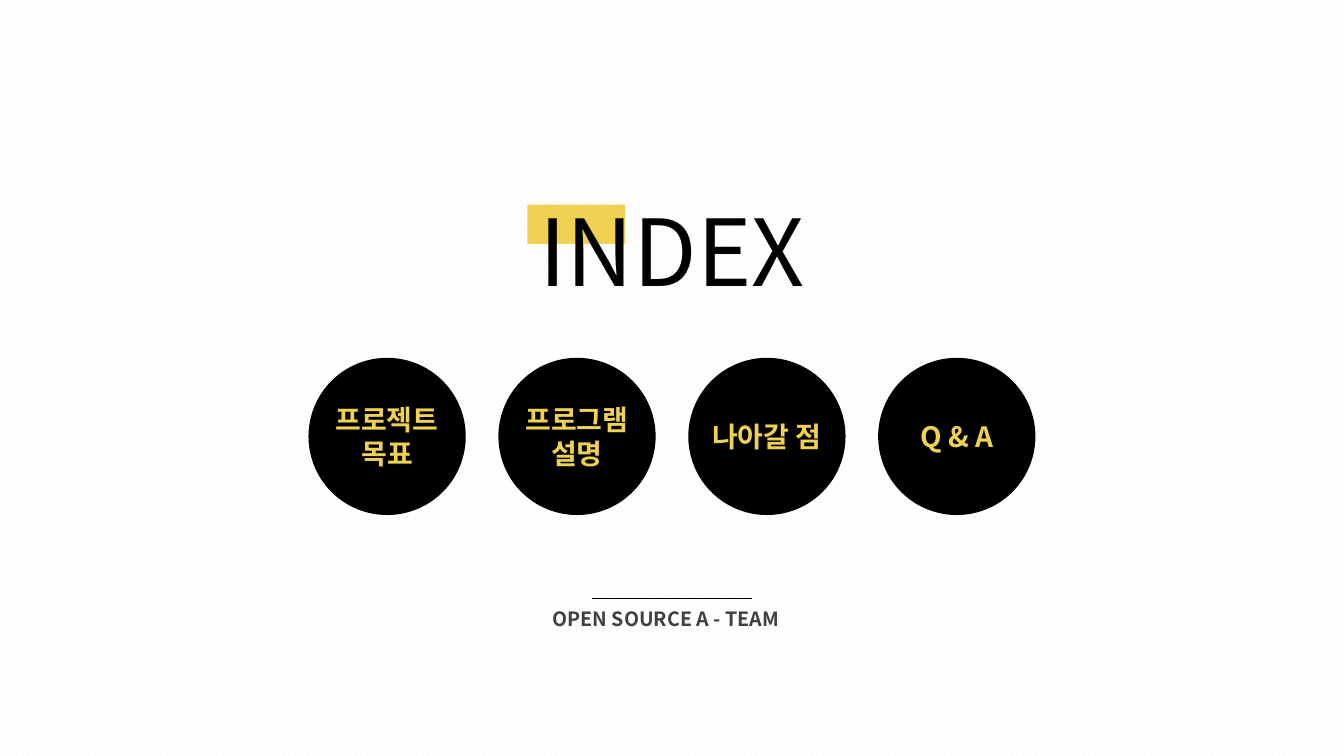
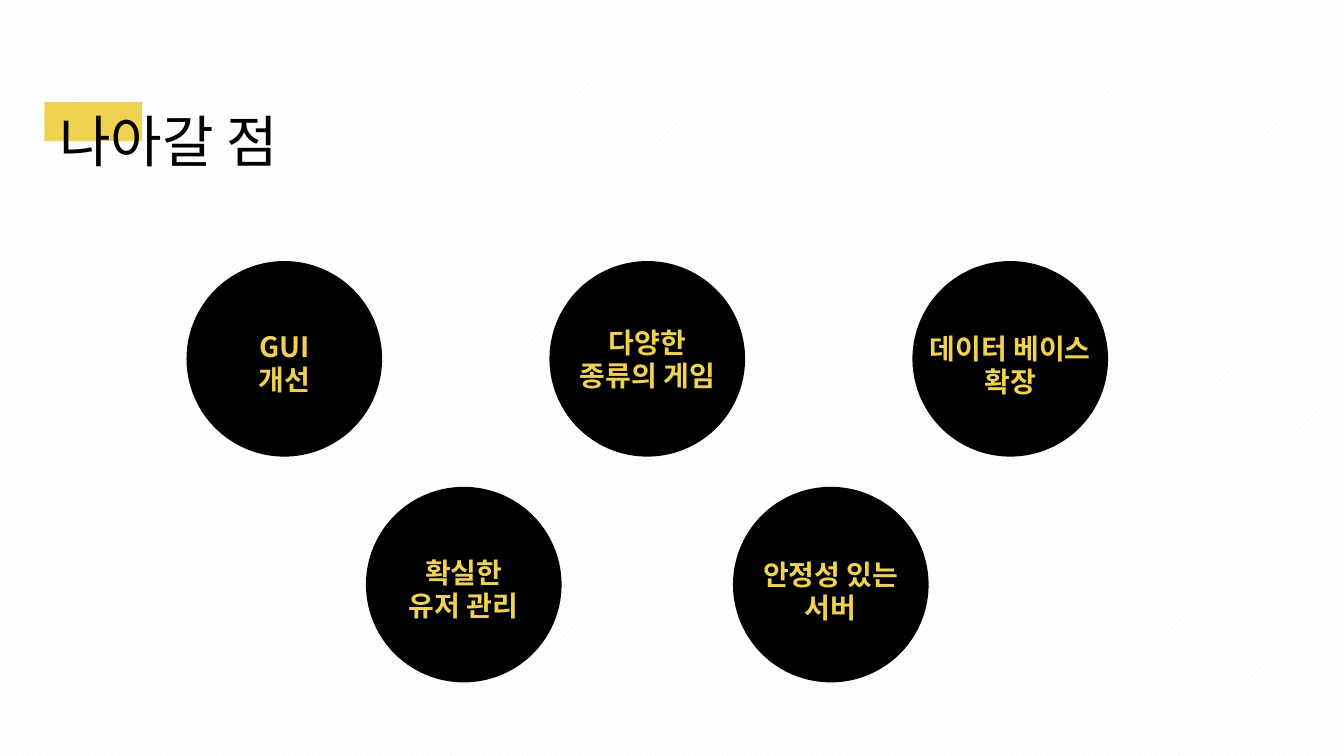
from lxml.etree import SubElement
from pptx import Presentation
from pptx.dml.color import RGBColor
from pptx.enum.dml import MSO_PATTERN
from pptx.enum.shapes import MSO_CONNECTOR, MSO_SHAPE
from pptx.enum.text import MSO_ANCHOR, MSO_AUTO_SIZE, PP_ALIGN
from pptx.oxml.ns import qn
from pptx.util import Inches, Pt

FONT = "Noto Sans CJK KR"
BLACK, YELLOW, GRAY = "000000", "F0D252", "404040"
STRIPE, WHITE = "F2F2F2", "FFFFFF"
HIGHLIGHT_SIZE = (0.97, 0.39)


def rgb(color):
    return RGBColor.from_string(color)


def inches(*lengths):
    return [Inches(length) for length in lengths]


def write(frame, text, size, color, bold=False, align=PP_ALIGN.CENTER):
    """Fill a text frame, one paragraph per line, in the deck's font."""
    frame.text = text
    for paragraph in frame.paragraphs:
        paragraph.alignment = align
        font = paragraph.font
        font.name, font.size, font.bold = FONT, Pt(size), bold
        font.color.rgb = rgb(color)
        # East Asian typeface for the Korean letters
        defaults = paragraph._p.pPr.find(qn("a:defRPr"))
        SubElement(defaults, qn("a:ea"), typeface=FONT)


def add_solid(slide, preset, box, color):
    solid = slide.shapes.add_shape(preset, *inches(*box))
    solid.shadow.inherit = False
    solid.fill.solid()
    solid.fill.fore_color.rgb = rgb(color)
    solid.line.fill.background()
    return solid


def set_background(master):
    fill = master.background.fill
    fill.patterned()
    fill.pattern = MSO_PATTERN.WIDE_UPWARD_DIAGONAL
    fill.fore_color.rgb = rgb(STRIPE)
    fill.back_color.rgb = rgb(WHITE)


def add_titled_slide(prs, text, box, size, align, highlight_at):
    """Start a slide whose title overlaps a yellow highlight."""
    slide = prs.slides.add_slide(prs.slide_layouts[5])
    title = slide.shapes.title
    title.left, title.top, title.width, title.height = inches(*box)
    frame = title.text_frame
    frame.word_wrap = True
    frame.auto_size = MSO_AUTO_SIZE.SHAPE_TO_FIT_TEXT
    frame.vertical_anchor = MSO_ANCHOR.TOP
    write(frame, text, size, BLACK, align=align)
    highlight = add_solid(slide, MSO_SHAPE.RECTANGLE,
                          highlight_at + HIGHLIGHT_SIZE, YELLOW)
    title.element.addprevious(highlight.element)
    return slide


def add_circle_row(slide, box, topics):
    """Spread circles evenly over the box; each topic is (text, drop)."""
    left, top, width, diameter = box
    pitch = (width - diameter) / (len(topics) - 1)
    for column, (text, drop) in enumerate(topics):
        circle = add_solid(slide, MSO_SHAPE.OVAL,
                           (left + column * pitch, top, diameter, diameter), BLACK)
        frame = circle.text_frame
        frame.word_wrap = False
        frame.vertical_anchor = MSO_ANCHOR.MIDDLE
        # The top margin lowers the centred text by half its size
        frame.margin_top, frame.margin_bottom = inches(2 * drop, 0)
        write(frame, text, 20, YELLOW, bold=True)


def add_team_footer(slide, box, text):
    left, top, width, height = box
    rule_start, rule_end = left + 0.19 * width, left + 0.81 * width
    rule = slide.shapes.add_connector(
        MSO_CONNECTOR.STRAIGHT, *inches(rule_start, top, rule_end, top))
    rule.line.color.rgb = rgb(BLACK)
    rule.line.width = Pt(0.5)
    SubElement(rule.element.spPr, qn("a:effectLst"))
    team = slide.shapes.add_textbox(*inches(left, top + 0.03, width, height - 0.03))
    team.text_frame.word_wrap = False
    team.text_frame.auto_size = MSO_AUTO_SIZE.SHAPE_TO_FIT_TEXT
    write(team.text_frame, text, 14, GRAY, bold=True, align=PP_ALIGN.LEFT)


def build_index(prs):
    slide = add_titled_slide(prs, "INDEX", (3.96, 1.88, 5.41, 1.21), 66,
                             PP_ALIGN.CENTER, (5.23, 2.03))
    add_circle_row(slide, (3.06, 3.55, 7.21, 1.56), [
        ("프로젝트\n목표", 0), ("프로그램\n설명", 0),
        ("나아갈 점", 0), ("Q & A", 0)])
    add_team_footer(slide, (5.38, 5.94, 2.57, 0.37), "OPEN SOURCE A - TEAM")


def build_next_steps(prs):
    slide = add_titled_slide(prs, "나아갈 점", (0.49, 1.01, 3.79, 0.77), 40,
                             PP_ALIGN.LEFT, (0.44, 1.01))
    add_circle_row(slide, (1.85, 2.59, 9.14, 1.94), [
        ("GUI\n개선", 0.04), ("다양한\n종류의 게임", 0),
        ("데이터 베이스\n확장", 0.06)])
    add_circle_row(slide, (3.63, 4.83, 5.58, 1.94), [
        ("확실한\n유저 관리", 0.04), ("안정성 있는\n서버", 0.06)])


def main():
    prs = Presentation()
    prs.slide_width, prs.slide_height = inches(13.33, 7.5)
    set_background(prs.slide_master)
    build_index(prs)
    build_next_steps(prs)
    prs.save("out.pptx")


if __name__ == "__main__":
    main()
